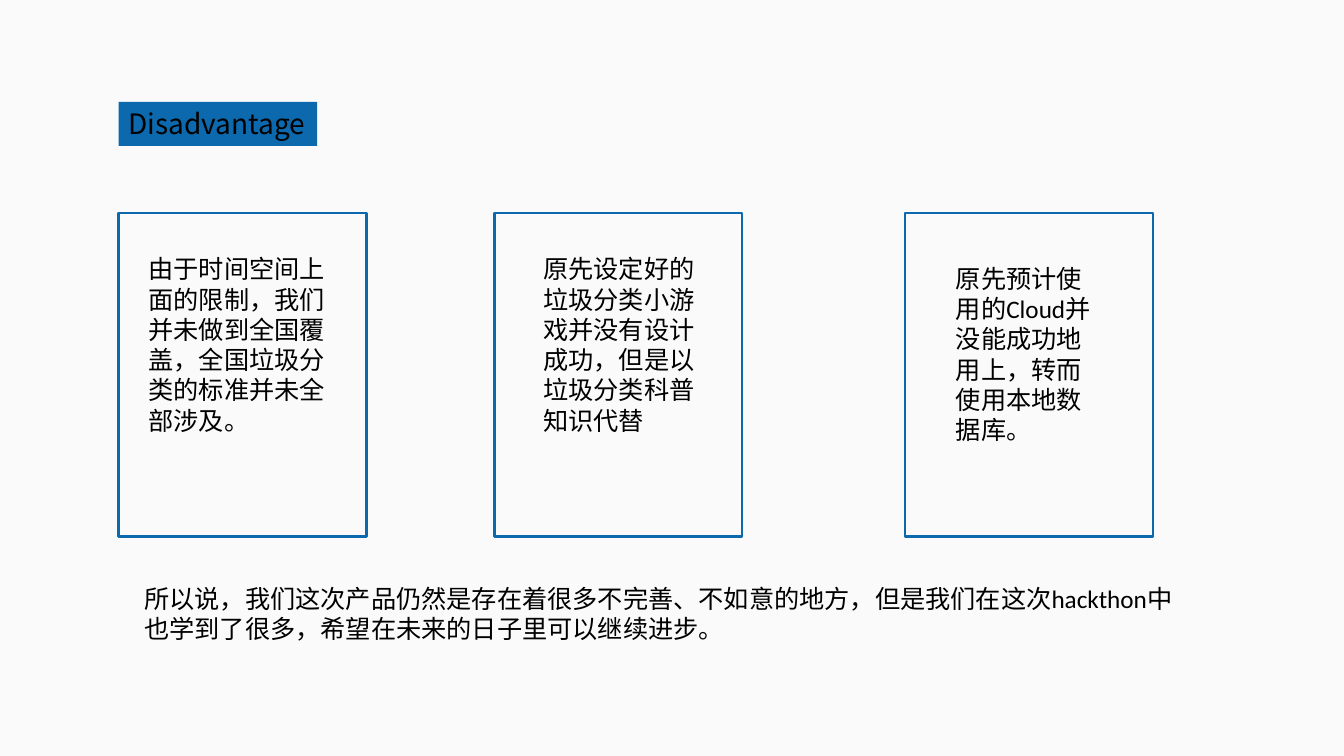
from pptx import Presentation
from pptx.dml.color import RGBColor
from pptx.enum.lang import MSO_LANGUAGE_ID as Language
from pptx.enum.shapes import MSO_SHAPE as Preset
from pptx.enum.text import MSO_ANCHOR as Anchor, MSO_AUTO_SIZE as AutoSize, PP_ALIGN as Align
from pptx.util import Emu, Pt

PAPER = RGBColor(0xFA, 0xFA, 0xFA)
BLUE = RGBColor(0x0D, 0x69, 0xAE)
INK = RGBColor(0x00, 0x00, 0x00)
EMU_PER_PX = 9525

CARD_TOP, CARD_WIDTH, CARD_HEIGHT = 203, 236, 308
TEXT_HEIGHT = 184

# card left, text left, text top, text width, wording
CARDS = [
    (113, 132, 237, 197, "由于时间空间上面的限制，我们并未做到全国覆盖，全国垃圾分类的标准并未全部涉及。"),
    (471, 508, 237, 163, "原先设定好的垃圾分类小游戏并没有设计成功，但是以垃圾分类科普知识代替"),
    (862, 901, 246, 157, "原先预计使用的Cloud并没能成功地用上，转而使用本地数据库。"),
]
CONCLUSION = (
    "所以说，我们这次产品仍然是存在着很多不完善、不如意的地方，"
    "但是我们在这次hackthon中也学到了很多，希望在未来的日子里可以继续进步。"
)


def px(*lengths):
    return [Emu(length * EMU_PER_PX) for length in lengths]


def write(box, text, size=18, font="Calibri", color=INK, language=Language.SIMPLIFIED_CHINESE):
    frame = box.text_frame
    frame.word_wrap = True
    frame.auto_size = AutoSize.SHAPE_TO_FIT_TEXT
    frame.vertical_anchor = Anchor.TOP
    para = frame.paragraphs[0]
    para.alignment = Align.LEFT
    span = para.add_run()
    span.text = text
    span.font.size = Pt(size)
    span.font.name = font
    span.font.color.rgb = color
    span.font.language_id = language


class SlideBuilder:
    def __init__(self, deck):
        self.page = deck.slides.add_slide(deck.slide_layouts[6])
        background = self.page.background.fill
        background.solid()
        background.fore_color.rgb = PAPER

    def rectangle(self, left, top, width, height, fill, line=None):
        box = self.page.shapes.add_shape(Preset.RECTANGLE, *px(left, top, width, height))
        box.shadow.inherit = False
        box.fill.solid()
        box.fill.fore_color.rgb = fill
        if line is None:
            box.line.fill.background()
        else:
            box.line.color.rgb = line
            box.line.width = Pt(1.75)
        return box

    def text(self, left, top, width, height, text):
        box = self.page.shapes.add_textbox(*px(left, top, width, height))
        write(box, text)


def main():
    deck = Presentation()
    deck.slide_width, deck.slide_height = px(1280, 720)
    builder = SlideBuilder(deck)

    heading = builder.rectangle(113, 97, 189, 42, BLUE)
    write(heading, "Disadvantage", size=20, font="Noto Sans CJK SC", language=Language.ENGLISH_US)

    for card_left, text_left, text_top, text_width, wording in CARDS:
        builder.rectangle(card_left, CARD_TOP, CARD_WIDTH, CARD_HEIGHT, PAPER, BLUE)
        builder.text(text_left, text_top, text_width, TEXT_HEIGHT, wording)

    builder.text(128, 551, 1019, 68, CONCLUSION)
    deck.save("out.pptx")


if __name__ == "__main__":
    main()
